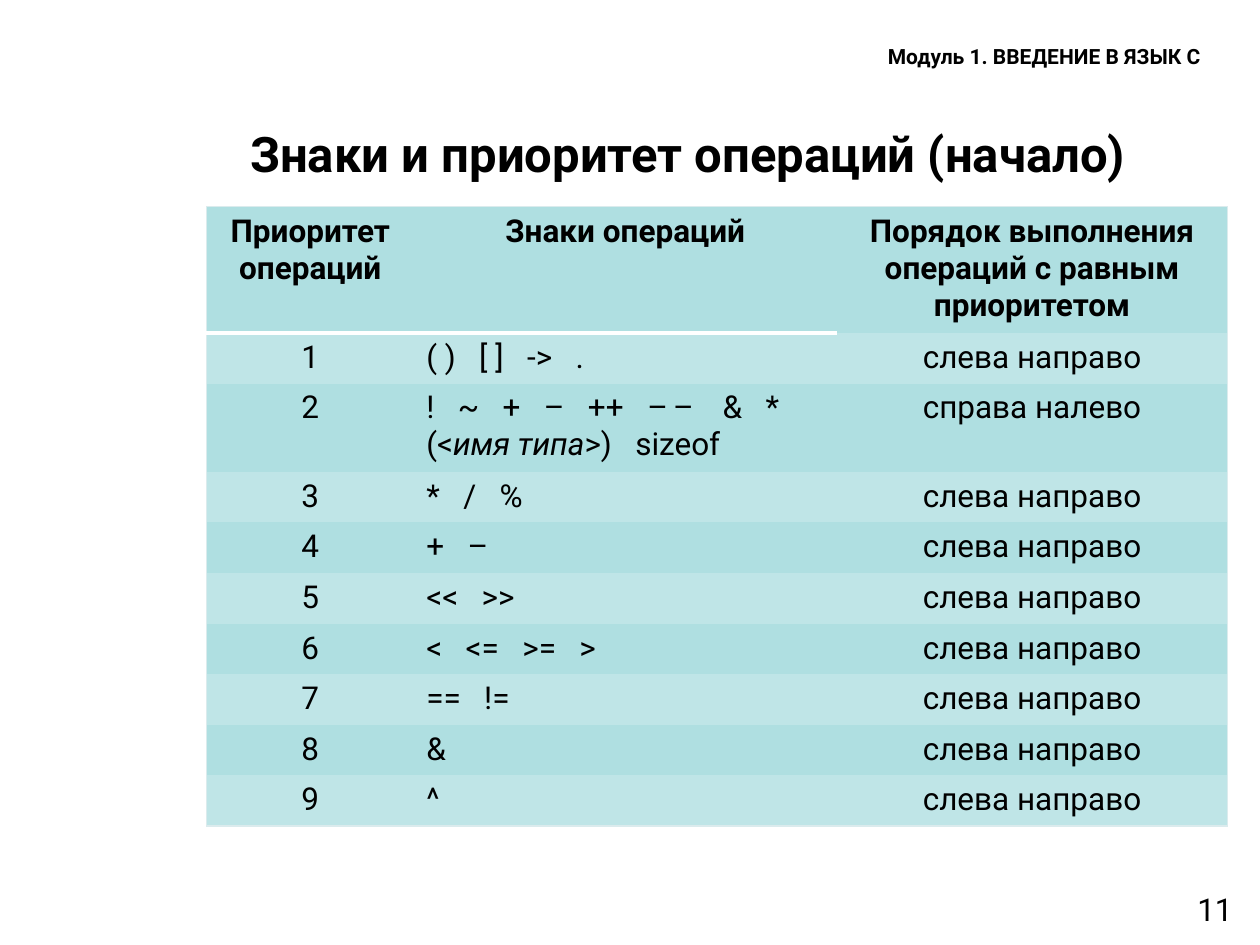
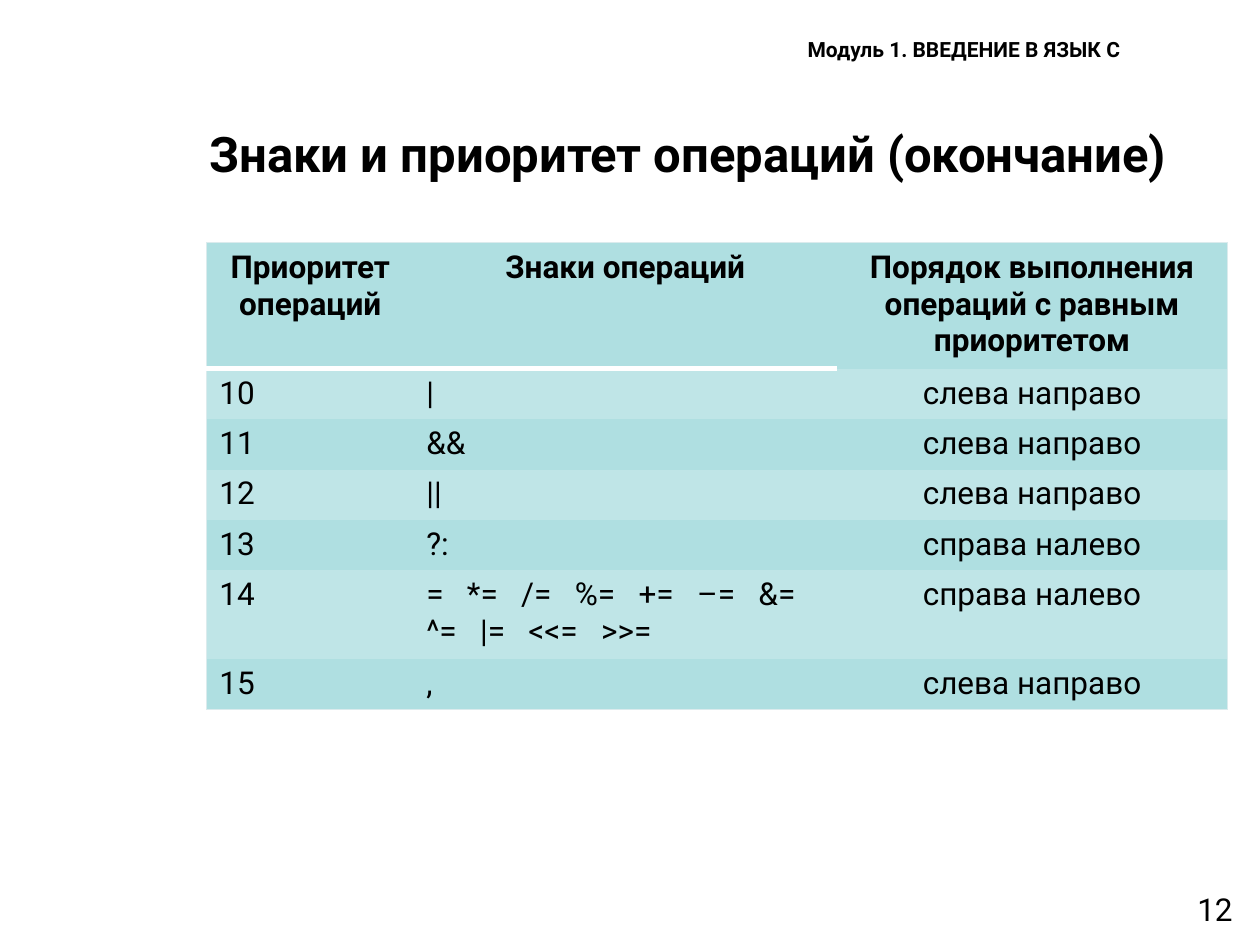
from pptx import Presentation
from pptx.dml.color import RGBColor
from pptx.enum.text import MSO_ANCHOR as ANCHOR, PP_ALIGN as ALIGN
from pptx.oxml.ns import qn
from pptx.util import Cm, Pt
from lxml.etree import SubElement

LEFT_TO_RIGHT = "слева направо"
RIGHT_TO_LEFT = "справа налево"
NO_STYLE = "{2D5ABB26-0587-4C30-8999-92F81FD0307C}"
HEADINGS = ["Приоритет операций", "Знаки операций",
            "Порядок выполнения операций с равным приоритетом"]


def rgb(color):
    return RGBColor.from_string(color)


class Deck:
    font = "Roboto"
    ink, header, band, edge, rule = "000000", "AFDFE1", "BFE5E7", "DBEBED", "FFFFFF"
    columns = [4.17, 8.53, 7.87]

    def __init__(self):
        self.prs = Presentation()
        self.prs.slide_width, self.prs.slide_height = Cm(25.4), Cm(19.05)
        self.s = None

    def slide(self):
        self.s = self.prs.slides.add_slide(self.prs.slide_layouts[5])

    def run(self, p, text, size=18, bold=False, italic=False, spacing=0):
        r = p.add_run()
        r.text = text
        r.font.name, r.font.size = self.font, Pt(size)
        r.font.bold, r.font.italic = bold, italic
        r.font.color.rgb = rgb(self.ink)
        if spacing:
            r._r.get_or_add_rPr().set("spc", str(spacing * 100))

    def title(self, text):
        sp = self.s.shapes.title
        sp.left, sp.top, sp.width, sp.height = Cm(3.38), Cm(2.34), Cm(20.96), Cm(1.47)
        tf = sp.text_frame
        tf.vertical_anchor = ANCHOR.MIDDLE
        p = tf.paragraphs[0]
        p.alignment = ALIGN.CENTER
        self.run(p, text, 28, bold=True)

    def text(self, text, left, top, width, height, size, bold=False, align=ALIGN.LEFT):
        sp = self.s.shapes.add_textbox(Cm(left), Cm(top), Cm(width), Cm(height))
        sp.text_frame.word_wrap = True
        p = sp.text_frame.paragraphs[0]
        p.alignment = align
        self.run(p, text, size, bold)

    def module(self, left, top):
        self.text("Модуль 1. ВВЕДЕНИЕ В ЯЗЫК C", left, top, 7.47, 0.76, 12, bold=True)

    def page_number(self, number):
        self.text(str(number), 19.18, 17.81, 5.92, 1.32, 18, align=ALIGN.RIGHT)

    def border(self, cell, side, color, width):
        ln = SubElement(cell._tc.get_or_add_tcPr(), qn(f"a:ln{side}"), w=str(Pt(width)))
        fill = SubElement(ln, qn("a:solidFill"))
        SubElement(fill, qn("a:srgbClr"), val=color)

    def cell(self, cell, runs, fill, align, bold, borders):
        for side, (color, width) in borders.items():
            self.border(cell, side, color, width)
        cell.fill.solid()
        cell.fill.fore_color.rgb = rgb(fill)
        p = cell.text_frame.paragraphs[0]
        p.alignment = align
        for text, style in runs:
            self.run(p, text, bold=bold, **style)

    def table(self, top, rows, heights, number_align):
        """Each row is (priority, signs, order); signs is a string or styled runs."""
        rows = [HEADINGS] + rows
        last_row, last_col = len(rows) - 1, len(self.columns) - 1
        frame = self.s.shapes.add_table(len(rows), len(self.columns), Cm(4.17), Cm(top),
                                        Cm(sum(self.columns)), Cm(sum(heights)))
        table = frame.table
        table.first_row = table.horz_banding = False
        table._tbl.tblPr.find(qn("a:tableStyleId")).text = NO_STYLE
        for column, width in zip(table.columns, self.columns):
            column.width = Cm(width)
        for row, height in zip(table.rows, heights):
            row.height = Cm(height)

        aligns = [number_align, ALIGN.LEFT, ALIGN.CENTER]
        thin, thick = (self.edge, 0.75), (self.rule, 3)
        for i, row in enumerate(rows):
            for j, content in enumerate(row):
                # Outline, and a rule under the first two headings
                borders = {}
                if j == 0:
                    borders["L"] = thin
                if j == last_col:
                    borders["R"] = thin
                if i == 0:
                    borders["T"] = thin
                    if j < last_col:
                        borders["B"] = thick
                if i == last_row:
                    borders["B"] = thin
                runs = [(content, {})] if isinstance(content, str) else content
                self.cell(table.cell(i, j), runs, self.band if i % 2 else self.header,
                          ALIGN.CENTER if i == 0 else aligns[j], i == 0, borders)


def main():
    deck = Deck()

    # Priorities 1 to 9
    unary = [("!   ~   +   –   ++   ", {}), ("––", {"spacing": 3}), ("   &   *   (<", {}),
             ("имя типа", {"italic": True}), (">)   sizeof", {})]
    signs = ["( )   [ ]   ->   .", unary, "*   /   %", "+   –", "<<   >>",
             "<   <=   >=   >", "==   !=", "&", "^"]
    rows = [(str(n), sign, RIGHT_TO_LEFT if n == 2 else LEFT_TO_RIGHT)
            for n, sign in enumerate(signs, 1)]
    deck.slide()
    deck.page_number(11)
    deck.title("Знаки и приоритет операций (начало)")
    deck.module(17.65, 0.76)
    deck.table(4.17, rows, [2.53, 1.02, 1.78] + [1.02] * 7, ALIGN.CENTER)

    # Priorities 10 to 15
    signs = ["|", "&&", "||", "?:",
             "=   *=   /=   %=   +=   –=   &=   ^=   |=   <<=   >>=", ","]
    rows = [(str(n), sign, RIGHT_TO_LEFT if n in (13, 14) else LEFT_TO_RIGHT)
            for n, sign in enumerate(signs, 10)]
    deck.slide()
    deck.page_number(12)
    deck.title("Знаки и приоритет операций (окончание)")
    deck.table(4.89, rows, [2.49] + [1] * 4 + [1.74, 1], ALIGN.LEFT)
    deck.module(16.03, 0.61)

    deck.prs.save("out.pptx")


if __name__ == "__main__":
    main()
